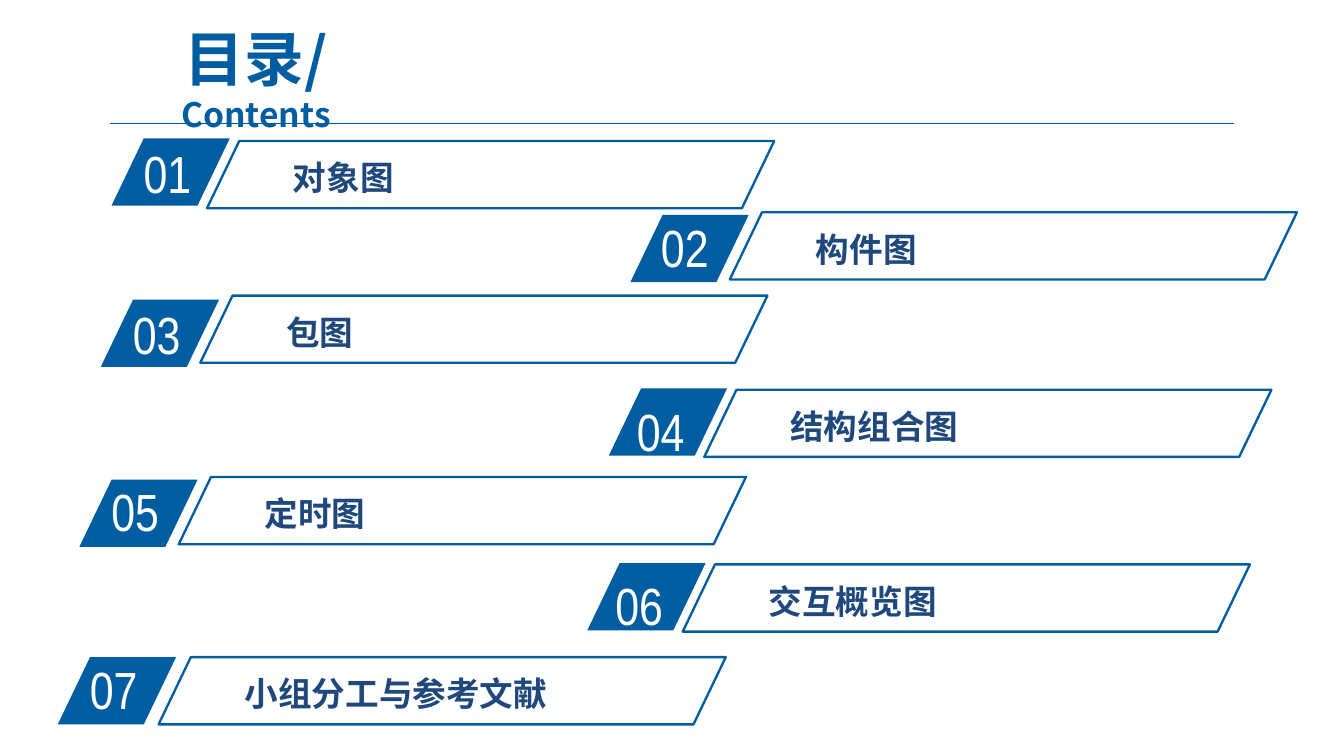
from dataclasses import dataclass

from lxml import etree
from pptx import Presentation
from pptx.dml.color import RGBColor
from pptx.enum.shapes import MSO_CONNECTOR, MSO_SHAPE
from pptx.enum.text import MSO_ANCHOR, MSO_AUTO_SIZE, PP_ALIGN
from pptx.oxml.ns import qn
from pptx.util import Inches, Pt

PARALLELOGRAM = MSO_SHAPE.PARALLELOGRAM
STRAIGHT = MSO_CONNECTOR.STRAIGHT
MIDDLE = MSO_ANCHOR.MIDDLE
FIT_SHAPE = MSO_AUTO_SIZE.SHAPE_TO_FIT_TEXT
CENTER, JUSTIFY = PP_ALIGN.CENTER, PP_ALIGN.JUSTIFY


@dataclass(frozen=True)
class Theme:
    blue = RGBColor(0x00, 0x5D, 0xA2)
    rule = RGBColor(0x00, 0x5B, 0x9E)
    navy = RGBColor(0x1F, 0x49, 0x7D)
    white = RGBColor(0xFF, 0xFF, 0xFF)
    cjk_font = "Noto Sans CJK SC"
    number_font = "Arial Narrow"
    title_size = Pt(32)
    number_size = Pt(28)
    label_size = Pt(18)


def style_font(font, name, size, color, bold=False):
    """Set the font for Latin and East Asian text alike."""
    font.name, font.size, font.bold = name, size, bold
    font.color.rgb = color
    latin = font._element.find(qn("a:latin"))
    east_asian = etree.Element(qn("a:ea"), typeface=name)
    latin.addnext(east_asian)


def add_slanted_box(left, top, width):
    box = slide.shapes.add_shape(
        PARALLELOGRAM, Inches(left), Inches(top), Inches(width), Inches(0.5))
    box.adjustments[0] = 0.48
    box.shadow.inherit = False
    return box


prs = Presentation()
prs.slide_width = Inches(10)
prs.slide_height = Inches(10 * 9 / 16)
slide = prs.slides.add_slide(prs.slide_layouts[6])

# Heading and rule
heading = slide.shapes.add_textbox(
    Inches(0.67), Inches(0.31), Inches(2.47), Inches(0.54)).text_frame
heading.word_wrap = True
heading.vertical_anchor = MIDDLE
title = heading.paragraphs[0]
title.alignment = CENTER
title.space_before = Pt(6)
for text, size in (("目录/", Theme.title_size), ("Contents", Theme.label_size)):
    if title.runs:
        title.add_line_break()
    run = title.add_run()
    run.text = text
    style_font(run.font, Theme.cjk_font, size, Theme.blue, bold=True)

rule = slide.shapes.add_connector(
    STRAIGHT, Inches(0.82), Inches(0.92), Inches(9.18), Inches(0.92))
rule.line.color.rgb = Theme.rule
rule.line.width = Pt(0.75)
etree.SubElement(rule._element.spPr, qn("a:effectLst"))

# Entries: label, then the corners of number tile, number and frame
entries = [
    ("对象图", (0.83, 1.03), (0.97, 1.00), (1.54, 1.05)),
    ("构件图", (4.69, 1.60), (4.82, 1.55), (5.43, 1.58)),
    ("包图", (0.75, 2.23), (0.89, 2.20), (1.49, 2.20)),
    ("结构组合图", (4.53, 2.89), (4.64, 2.92), (5.24, 2.90)),
    ("定时图", (0.59, 3.57), (0.73, 3.52), (1.33, 3.55)),
    ("交互概览图", (4.37, 4.19), (4.48, 4.22), (5.08, 4.20)),
    ("小组分工与参考文献", (0.43, 4.89), (0.57, 4.84), (1.18, 4.89)),
]
for index, (label, tile_at, number_at, frame_at) in enumerate(entries, start=1):
    tile = add_slanted_box(*tile_at, 0.88)
    tile.fill.solid()
    tile.fill.fore_color.rgb = Theme.blue
    tile.line.fill.background()

    number = slide.shapes.add_textbox(
        *map(Inches, number_at), Inches(0.84), Inches(0.57)).text_frame
    number.word_wrap = True
    number.auto_size = FIT_SHAPE
    number.text = f"{index:02}"
    style_font(number.paragraphs[0].font, Theme.number_font,
               Theme.number_size, Theme.white)

    frame = add_slanted_box(*frame_at, 4.22)
    frame.fill.background()
    frame.line.color.rgb = Theme.blue
    frame.line.width = Pt(1.25)

    frame_left, frame_top = frame_at
    topic = slide.shapes.add_textbox(
        Inches(frame_left + 0.57), Inches(frame_top + 0.08),
        Inches(3.09), Inches(0.38)).text_frame
    topic.margin_left = topic.margin_right = Inches(0.07)
    topic.margin_top = topic.margin_bottom = Inches(0.04)
    topic.word_wrap = True
    topic.auto_size = FIT_SHAPE
    topic.text = label
    topic.paragraphs[0].alignment = JUSTIFY
    style_font(topic.paragraphs[0].font, Theme.cjk_font,
               Theme.label_size, Theme.navy, bold=True)

prs.save("out.pptx")
